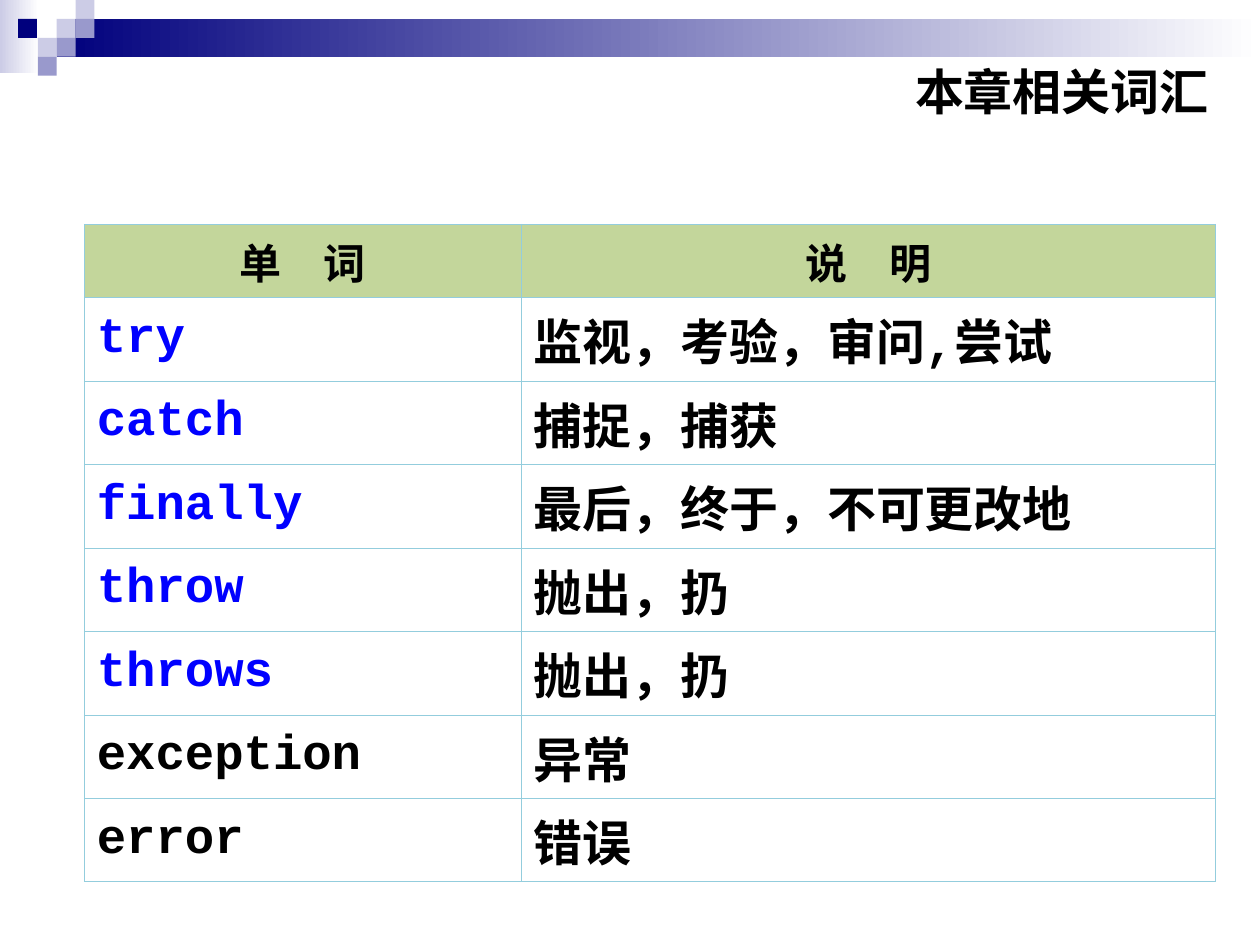
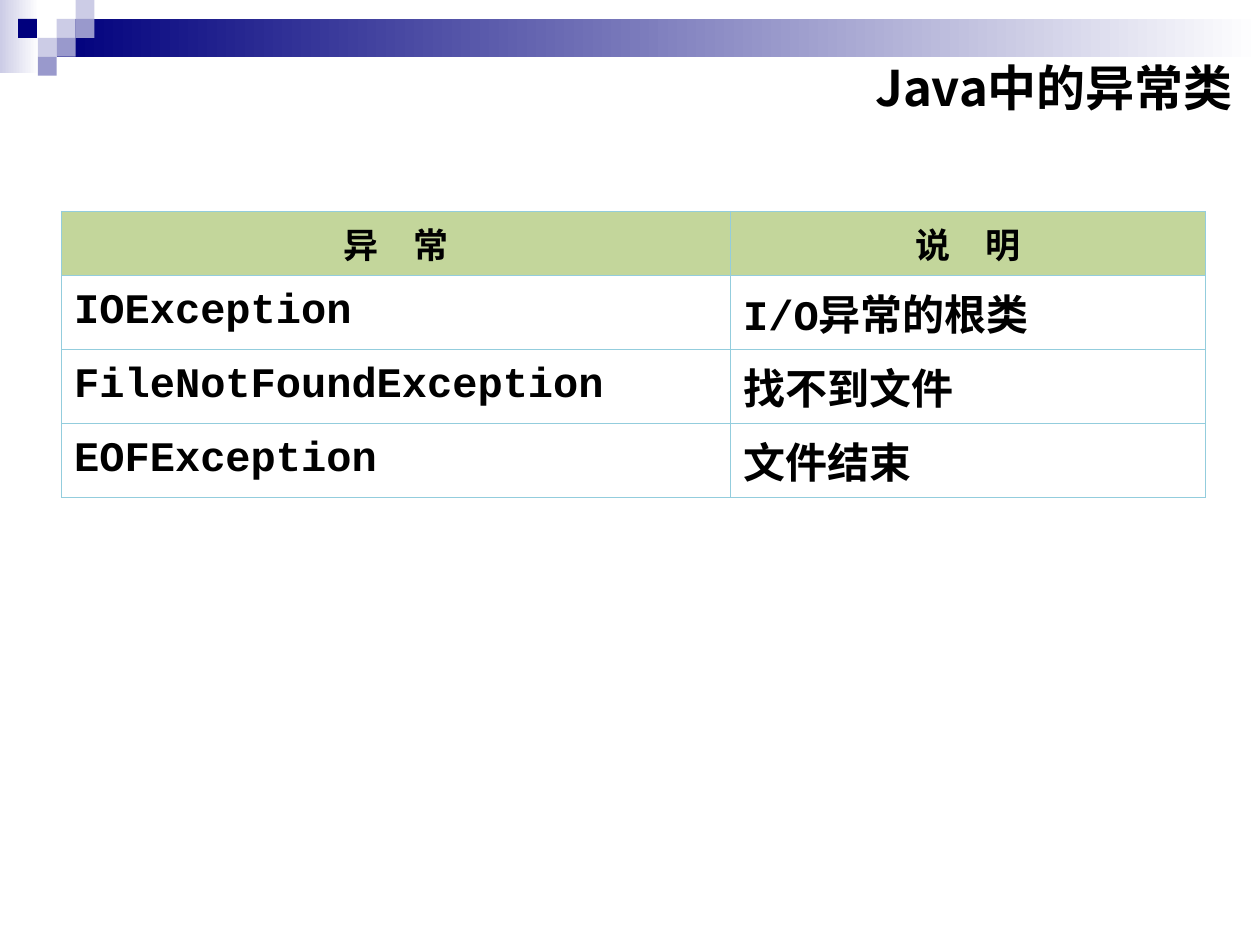
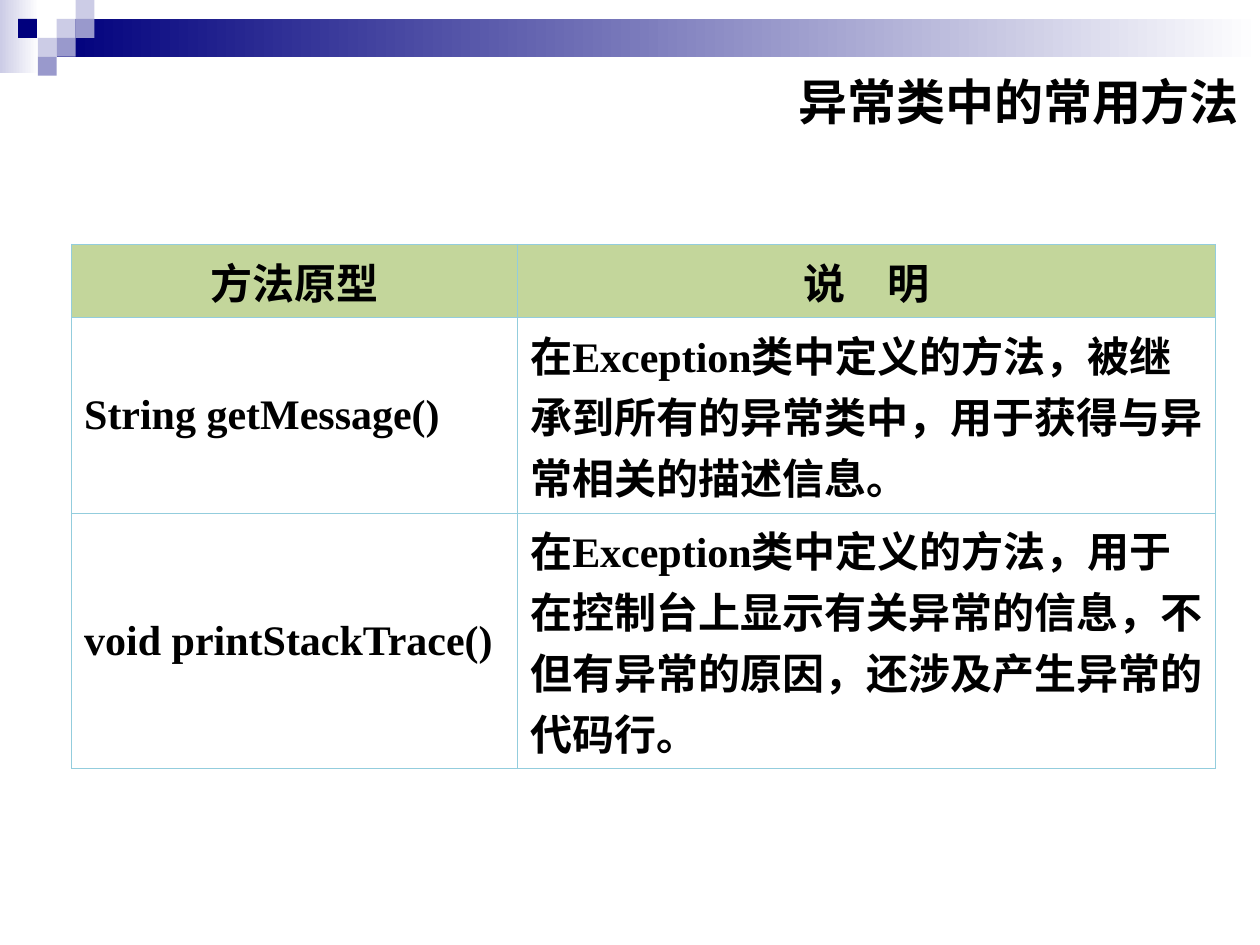
from lxml import etree
from pptx import Presentation
from pptx.dml.color import RGBColor
from pptx.enum.shapes import MSO_SHAPE
from pptx.enum.text import MSO_ANCHOR, PP_ALIGN
from pptx.oxml.ns import qn
from pptx.util import Pt

RECTANGLE = MSO_SHAPE.RECTANGLE
MIDDLE = MSO_ANCHOR.MIDDLE
LEFT, CENTER, RIGHT = PP_ALIGN.LEFT, PP_ALIGN.CENTER, PP_ALIGN.RIGHT

BLACK = RGBColor(0x00, 0x00, 0x00)
WHITE = RGBColor(0xFF, 0xFF, 0xFF)
NAVY = RGBColor(0x00, 0x00, 0x7D)
LAVENDER = RGBColor(0xCC, 0xCC, 0xE6)
PERIWINKLE = RGBColor(0x99, 0x99, 0xCC)
BLUE = RGBColor(0x00, 0x00, 0xFF)
GREEN = RGBColor(0xC3, 0xD6, 0x9B)
TABLE_LINE = RGBColor(0x93, 0xCD, 0xDD)

CJK_FONT = "Noto Sans CJK SC"
CODE_FONT = "Courier New"
SERIF_FONT = "Times New Roman"

SLIDE_WIDTH, SLIDE_HEIGHT = 720, 540
TITLE_SIZE = 28
OUTER_LINE, INNER_LINE = 0.75, 0.45

TILE = 10.8
MOSAIC_LEFT = 21.6
# column, row and colour of each tile
MOSAIC = [
    (1, 1, LAVENDER), (2, 0, LAVENDER), (2, 1, PERIWINKLE), (0, 2, LAVENDER),
    (1, 2, PERIWINKLE), (0, 3, PERIWINKLE),
]

KEYWORDS = {"try", "catch", "finally", "throw", "throws"}
VOCABULARY = [
    ("单　词", "说　明"),
    ("try", "监视，考验，审问,尝试"),
    ("catch", "捕捉，捕获"),
    ("finally", "最后，终于，不可更改地"),
    ("throw", "抛出，扔"),
    ("throws", "抛出，扔"),
    ("exception", "异常"),
    ("error", "错误"),
]
EXCEPTIONS = [
    ("异　常", "说　明"),
    ("IOException", "I/O异常的根类"),
    ("FileNotFoundException", "找不到文件"),
    ("EOFException", "文件结束"),
]
METHODS = [
    ("方法原型", "说　明"),
    ("String getMessage()",
     "在Exception类中定义的方法，被继承到所有的异常类中，用于获得与异常相关的描述信息。"),
    ("void printStackTrace()",
     "在Exception类中定义的方法，用于在控制台上显示有关异常的信息，"
     "不但有异常的原因，还涉及产生异常的代码行。"),
]


def points(*lengths):
    return [Pt(length) for length in lengths]


def write(para, text, size, font, color=BLACK, align=LEFT):
    """Add one bold run, with the shared font for Chinese characters."""
    para.alignment = align
    span = para.add_run()
    span.text = text
    span.font.size = Pt(size)
    span.font.bold = True
    span.font.name = font
    span.font.color.rgb = color
    east_asian = etree.SubElement(span.font._element, qn("a:ea"))
    east_asian.set("typeface", CJK_FONT)


def add_block(slide, box, color, fade=False):
    """Add a plain rectangle, fading to white on the right if asked."""
    block = slide.shapes.add_shape(RECTANGLE, *points(*box))
    block.shadow.inherit = False
    block.line.fill.background()
    if fade:
        block.fill.gradient()
        block.fill.gradient_angle = 0
        for stop, shade in zip(block.fill.gradient_stops, (color, WHITE)):
            stop.color.rgb = shade
    else:
        block.fill.solid()
        block.fill.fore_color.rgb = color


def add_header_band(slide):
    band_left = MOSAIC_LEFT + TILE
    add_block(slide, (0, 0, 22.3, 42), LAVENDER, fade=True)
    add_block(slide, (band_left, TILE, SLIDE_WIDTH - band_left, 2 * TILE), NAVY, fade=True)
    for column, row, color in MOSAIC:
        add_block(slide, (MOSAIC_LEFT + column * TILE, row * TILE, TILE, TILE), color)
    add_block(slide, (10.3, TILE, TILE, TILE), NAVY)


def add_title(slide, box, text):
    frame = slide.shapes.add_textbox(*points(*box)).text_frame
    frame.word_wrap = True
    frame.vertical_anchor = MIDDLE
    write(frame.paragraphs[0], text, TITLE_SIZE, CJK_FONT, align=RIGHT)


def set_borders(cell, outer_sides):
    """Rule all four sides, thicker on those at the table's edge."""
    properties = cell._tc.get_or_add_tcPr()
    for position, side in enumerate("LRTB"):
        width = OUTER_LINE if side in outer_sides else INNER_LINE
        line = etree.Element(qn(f"a:ln{side}"), w=str(int(Pt(width))))
        fill = etree.SubElement(line, qn("a:solidFill"))
        etree.SubElement(fill, qn("a:srgbClr"), val=str(TABLE_LINE))
        properties.insert(position, line)


def add_glossary(slide, origin, widths, heights, rows, sizes, font):
    """Add a two-column table; sizes are those of the header and the body."""
    box = (*origin, sum(widths), sum(heights))
    table = slide.shapes.add_table(len(rows), len(widths), *points(*box)).table
    table.first_row = table.horz_banding = False
    for column, width in zip(table.columns, widths):
        column.width = Pt(width)
    for index, (row, height) in enumerate(zip(rows, heights)):
        table.rows[index].height = Pt(height)
        is_header = index == 0
        size = sizes[0] if is_header else sizes[1]
        edge = "T" if is_header else "B" if index == len(rows) - 1 else ""
        for cell, text, side in zip(table.rows[index].cells, row, "LR"):
            cell.vertical_anchor = MIDDLE
            para = cell.text_frame.paragraphs[0]
            para.space_before = Pt(size / 4)
            if is_header:
                cell.fill.solid()
                cell.fill.fore_color.rgb = GREEN
                write(para, text, size, CJK_FONT, align=CENTER)
            else:
                cell.fill.background()
                write(para, text, size, font, BLUE if text in KEYWORDS else BLACK)
            set_borders(cell, side + edge)


def add_glossary_slide(deck, title_box, title, **glossary):
    slide = deck.slides.add_slide(deck.slide_layouts[6])
    add_header_band(slide)
    add_title(slide, title_box, title)
    add_glossary(slide, **glossary)


def main():
    deck = Presentation()
    deck.slide_width, deck.slide_height = points(SLIDE_WIDTH, SLIDE_HEIGHT)
    add_glossary_slide(
        deck, (304, 32.4, 393.7, 39.6), "本章相关词汇",
        origin=(48.2, 128.2), widths=(249.5, 397), heights=[42] + [47.7] * 7,
        rows=VOCABULARY, sizes=(24, 28), font=CODE_FONT)
    add_glossary_slide(
        deck, (463, 32.4, 248.4, 34), "Java中的异常类",
        origin=(35.2, 120.8), widths=(382.3, 271.5), heights=[36.7] + [42.3] * 3,
        rows=EXCEPTIONS, sizes=(20, 24), font=CODE_FONT)
    add_glossary_slide(
        deck, (345.6, 37.6, 369.4, 39.6), "异常类中的常用方法",
        origin=(40.9, 139.6), widths=(254.9, 399), heights=[42, 111.5, 146.2],
        rows=METHODS, sizes=(24, 24), font=SERIF_FONT)
    deck.save("out.pptx")


if __name__ == "__main__":
    main()
